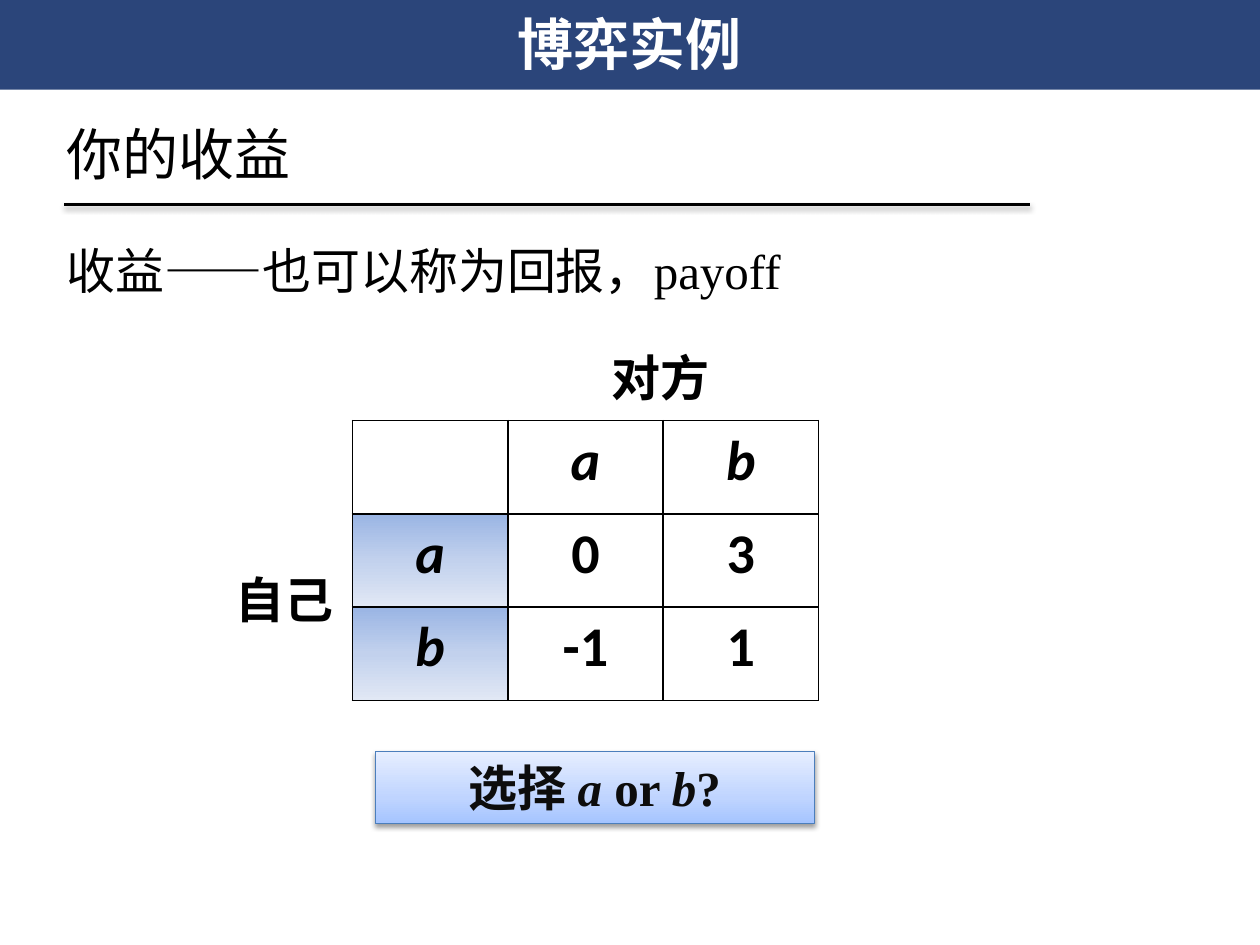
from collections import namedtuple
from dataclasses import dataclass

from lxml import etree
from pptx import Presentation
from pptx import util as u
from pptx.dml import color
from pptx.enum import shapes, text
from pptx.oxml import ns

Pt = u.Pt
Box = namedtuple("Box", "left top width height")


@dataclass(frozen=True)
class Theme:
    banner: str = "002060"
    banner_alpha: int = 83
    white: str = "FFFFFF"
    ink: str = "000000"
    soft_ink: str = "0D0D0D"
    outline: str = "4B7EBC"
    row_blend: tuple = ((0, "9AB5E4"), (50, "C2D1ED"), (100, "E1E8F5"))
    question_blend: tuple = ((0, "A4C4FF"), (35, "BFD4FF"), (100, "E6EEFF"))
    large: int = 32
    medium: int = 28
    sans: str = "Calibri"
    serif: str = "Times New Roman"


THEME = Theme()


def rgb(code):
    return color.RGBColor.from_string(code)


def add_node(parent, tag, **attributes):
    node = etree.SubElement(parent, ns.qn(tag))
    for name, value in attributes.items():
        node.set(name, str(value))
    return node


def add_color(parent, code, alpha=None):
    node = add_node(parent, "a:srgbClr", val=code)
    if alpha is not None:
        add_node(node, "a:alpha", val=alpha * 1000)


def place(shape, box):
    shape.left, shape.top, shape.width, shape.height = map(Pt, box)


def style(para, size, font, ink, bold=False, align=None):
    para.font.size = Pt(size)
    para.font.name = font
    para.font.bold = bold
    para.font.color.rgb = rgb(ink)
    para.alignment = align


def blend(fill, properties, stops, angle):
    fill.gradient()
    gradient = properties.find(ns.qn("a:gradFill"))
    gradient.clear()
    stop_list = add_node(gradient, "a:gsLst")
    for position, code in stops:
        add_color(add_node(stop_list, "a:gs", pos=position * 1000), code)
    add_node(gradient, "a:lin", ang=angle * 60000, scaled=0)


def soft_shadow(shape):
    effects = add_node(shape.element.spPr, "a:effectLst")
    shadow = add_node(effects, "a:outerShdw", blurRad=Pt(3.1), dist=Pt(1.6),
                      dir=90 * 60000, rotWithShape=0)
    add_color(shadow, THEME.ink, 38)


def draw_borders(properties):
    for index, side in enumerate("LRTB"):
        line = add_node(properties, f"a:ln{side}", w=Pt(1))
        add_color(add_node(line, "a:solidFill"), THEME.ink)
        properties.insert(index, line)


def add_label(page, box, words, size, bold=False):
    label = page.shapes.add_textbox(*map(Pt, box))
    frame = label.text_frame
    frame.word_wrap = True
    frame.auto_size = text.MSO_AUTO_SIZE.SHAPE_TO_FIT_TEXT
    para = frame.paragraphs[0]
    para.text = words
    style(para, size, THEME.serif, THEME.ink, bold)


def add_banner(page, box, words):
    title = page.shapes.title
    place(title, box)
    title.fill.solid()
    title.fill.fore_color.rgb = rgb(THEME.banner)
    shade = title.element.spPr.find(".//" + ns.qn("a:srgbClr"))
    add_node(shade, "a:alpha", val=THEME.banner_alpha * 1000)
    frame = title.text_frame
    frame.auto_size = text.MSO_AUTO_SIZE.NONE
    frame.vertical_anchor = text.MSO_ANCHOR.MIDDLE
    para = frame.paragraphs[0]
    para.text = words
    style(para, THEME.large, THEME.sans, THEME.white, True, text.PP_ALIGN.CENTER)


def add_intro(page, box):
    add_label(page, Box(box.left, box.top, box.width, 46), "你的收益", THEME.large)
    add_label(page, Box(box.left, box.top + 69, box.width, 41),
              "收益——也可以称为回报，payoff", THEME.medium)
    start, level = box.left + 5.7, box.top + 52
    rule = page.shapes.add_connector(
        shapes.MSO_CONNECTOR.STRAIGHT,
        Pt(start), Pt(level), Pt(start + 551.7), Pt(level))
    rule.line.color.rgb = rgb(THEME.ink)
    rule.line.width = Pt(2)
    soft_shadow(rule)


def add_payoffs(page, box, rows):
    add_label(page, Box(box.left + 141, box.top - 45.4, 73.4, 41),
              "对方", THEME.medium, True)
    add_label(page, Box(box.left - 74, box.top + 81.5, 73.4, 41),
              "自己", THEME.medium, True)
    frame = page.shapes.add_table(len(rows), len(rows[0]), *map(Pt, box))
    table = frame.table
    table.first_row = table.horz_banding = False
    for column in table.columns:
        column.width = Pt(box.width / len(rows[0]))
    for row in table.rows:
        row.height = Pt(box.height / len(rows))
    for r, values in enumerate(rows):
        for c, value in enumerate(values):
            cell = table.cell(r, c)
            para = cell.text_frame.paragraphs[0]
            para.text = value
            style(para, THEME.large, THEME.sans, THEME.ink, True,
                  text.PP_ALIGN.CENTER)
            para.font.italic = value.isalpha()
            cell.fill.background()
            properties = cell._tc.get_or_add_tcPr()
            if r > 0 and c == 0:
                blend(cell.fill, properties, THEME.row_blend, 90)
            draw_borders(properties)


def add_question(page, box, spans):
    panel = page.shapes.add_shape(shapes.MSO_SHAPE.RECTANGLE, *map(Pt, box))
    blend(panel.fill, panel.element.spPr, THEME.question_blend, 270)
    panel.line.color.rgb = rgb(THEME.outline)
    panel.line.width = Pt(0.75)
    soft_shadow(panel)
    frame = panel.text_frame
    frame.word_wrap = True
    frame.auto_size = text.MSO_AUTO_SIZE.SHAPE_TO_FIT_TEXT
    frame.vertical_anchor = text.MSO_ANCHOR.TOP
    para = frame.paragraphs[0]
    para.space_after = Pt(12)
    style(para, THEME.medium, THEME.serif, THEME.soft_ink, True,
          text.PP_ALIGN.CENTER)
    for words, italic in spans:
        span = para.add_run()
        span.text = words
        span.font.italic = italic


def main():
    deck = Presentation()
    deck.slide_width, deck.slide_height = Pt(720), Pt(540)
    page = deck.slides.add_slide(deck.slide_layouts[5])
    add_banner(page, Box(0, -2, 720, 53.3), "博弈实例")
    add_intro(page, Box(31, 64.8, 617.8, 110))
    add_payoffs(page, Box(201.4, 240.4, 266.4, 159.8),
                [["", "a", "b"], ["a", "0", "3"], ["b", "-1", "1"]])
    add_question(page, Box(214.5, 429.6, 250.8, 41),
                 [("选择 ", False), ("a", True), (" or ", False),
                  ("b", True), ("?", False)])
    deck.save("out.pptx")


if __name__ == "__main__":
    main()
